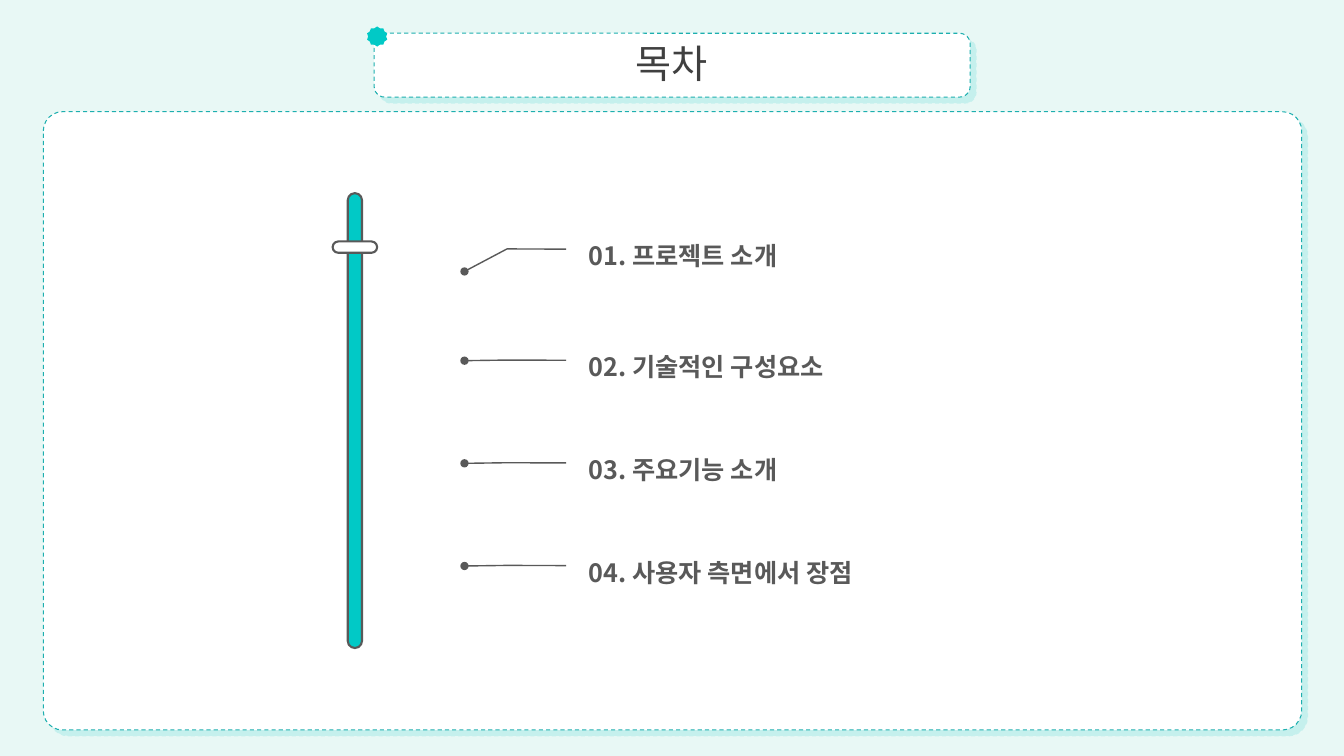
import pptx
import pptx.dml.color
import pptx.enum.dml
import pptx.enum.shapes
import pptx.enum.text
import pptx.oxml
import pptx.oxml.ns
import pptx.util
from lxml import etree

SHAPES = pptx.enum.shapes.MSO_SHAPE
qn = pptx.oxml.ns.qn


def color(hex_string):
    """Turn a hex string into a colour."""
    return pptx.dml.color.RGBColor.from_string(hex_string)


class AgendaSlide:
    """Draw agenda parts on a grid of 160 columns by 90 rows."""

    FONT = "Noto Sans CJK KR"
    MINT, TEAL, TURQUOISE = "E8F8F5", "1DAFAF", "01C9C6"
    WHITE, GRAY, DARK = "FFFFFF", "595959", "404040"

    def __init__(self, deck):
        """Add a blank slide with a mint background."""
        self.column = deck.slide_width / 160
        self.row = deck.slide_height / 90
        self.slide = deck.slides.add_slide(deck.slide_layouts[6])
        self.slide.background.fill.solid()
        self.slide.background.fill.fore_color.rgb = color(self.MINT)

    def place(self, left, top, width, height):
        """Convert grid cells to slide lengths."""
        return (round(left * self.column), round(top * self.row),
                round(width * self.column), round(height * self.row))

    def shape(self, preset, box, fill=None, line=None, weight=1, adjust=()):
        """Add a preset shape without a shadow."""
        shape = self.slide.shapes.add_shape(preset, *self.place(*box))
        shape.shadow.inherit = False
        for index, value in enumerate(adjust):
            shape.adjustments[index] = value
        if fill:
            shape.fill.solid()
            shape.fill.fore_color.rgb = color(fill)
        else:
            shape.fill.background()
        if line:
            shape.line.color.rgb = color(line)
            shape.line.width = pptx.util.Pt(weight)
        else:
            shape.line.fill.background()
        return shape

    def card(self, box, corner):
        """Add a white dashed card with a hard turquoise shadow."""
        card = self.shape(SHAPES.ROUNDED_RECTANGLE, box, self.WHITE, self.TEAL, 0.75, [corner])
        card.line.dash_style = pptx.enum.dml.MSO_LINE.DASH
        effects = card.element.spPr.find(qn("a:effectLst"))
        shadow = etree.SubElement(effects, qn("a:outerShdw"), blurRad="0",
                                  dist=str(pptx.util.Pt(6)), dir=str(45 * 60000),
                                  algn="tl", rotWithShape="0")
        tint = etree.SubElement(shadow, qn("a:srgbClr"), val=self.TURQUOISE)
        etree.SubElement(tint, qn("a:alpha"), val="15000")

    def pill(self, box, fill):
        """Add a fully rounded, outlined slider part."""
        self.shape(SHAPES.ROUNDED_RECTANGLE, box, fill, self.GRAY, 1.5, [0.5])

    def label(self, frame, text, size, ink, bold=False):
        """Set one styled paragraph and return it."""
        frame.word_wrap = True
        frame.text = text
        paragraph = frame.paragraphs[0]
        for run in paragraph.runs:
            run.font.name = self.FONT
            run.font.size = pptx.util.Pt(size)
            run.font.bold = bold
            run.font.color.rgb = color(ink)
            latin = run.font._element.find(qn("a:latin"))
            latin.addnext(latin.makeelement(qn("a:ea"), {"typeface": self.FONT}))
        return paragraph

    def title(self, box, text):
        """Add the centred title."""
        frame = self.slide.shapes.add_textbox(*self.place(*box)).text_frame
        heading = self.label(frame, text, 28, self.DARK)
        heading.alignment = pptx.enum.text.PP_ALIGN.CENTER

    def entry(self, box, text, pointer_drop):
        """Add an agenda entry with a leader line ending in a dot."""
        entry = self.shape(SHAPES.LINE_CALLOUT_2_NO_BORDER, box, line=self.GRAY,
                           adjust=[0.514, -0.04, 0.512, -0.226, pointer_drop, -0.36])
        outline = entry.element.spPr.find(qn("a:ln"))
        etree.SubElement(outline, qn("a:tailEnd"), type="oval")
        entry.text_frame.vertical_anchor = pptx.enum.text.MSO_ANCHOR.MIDDLE
        topic = self.label(entry.text_frame, text, 18, self.GRAY, bold=True)
        topic.alignment = pptx.enum.text.PP_ALIGN.LEFT
        topic.line_spacing = 1.5


def main():
    """Build the agenda and save it."""
    deck = pptx.Presentation()
    deck.slide_width = pptx.util.Inches(13.33)
    deck.slide_height = pptx.util.Inches(7.5)
    agenda = AgendaSlide(deck)

    agenda.card((5.16, 13.3, 149.8, 73.6), 0.031)
    agenda.card((44.55, 3.96, 70.95, 7.6), 0.167)
    agenda.shape(SHAPES.STAR_10_POINT, (43.7, 3.15, 2.4, 2.4), agenda.TURQUOISE)

    agenda.pill((41.4, 23, 1.7, 54.15), agenda.TURQUOISE)
    agenda.pill((39.6, 28.75, 5.3, 1.35), agenda.WHITE)

    entry_left, entry_width = 68.9, 37.8
    agenda.entry((entry_left, 22.7, entry_width, 13.55), "01. 프로젝트 소개", 0.71)
    later_entries = ["02. 기술적인 구성요소", "03. 주요기능 소개", "04. 사용자 측면에서 장점"]
    for step, text in enumerate(later_entries):
        agenda.entry((entry_left, 37.75 + 12.22 * step, entry_width, 10), text, 0.519)

    agenda.title((52.45, 4.1, 55.1, 6.85), "목차")
    deck.save("out.pptx")


if __name__ == "__main__":
    main()
